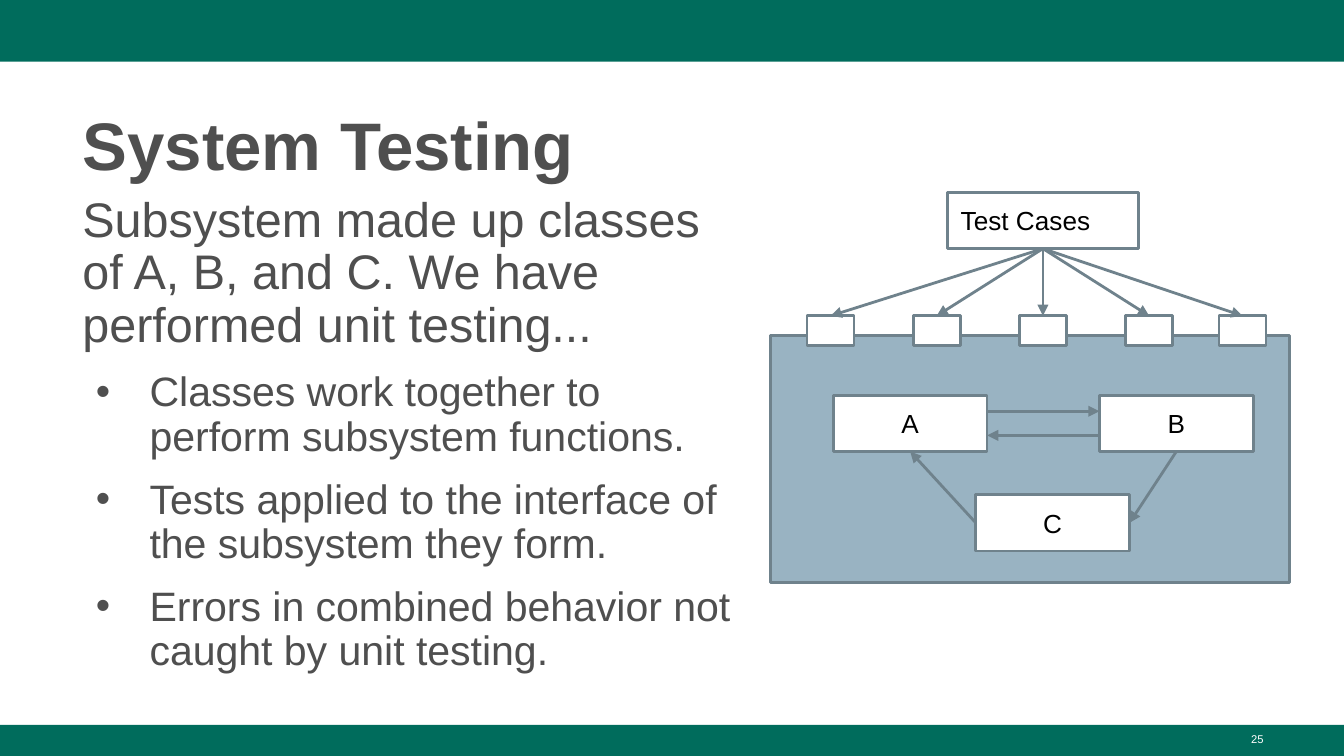
from dataclasses import dataclass

from lxml import etree
from pptx import Presentation
from pptx.dml.color import RGBColor
from pptx.enum.shapes import MSO_CONNECTOR, MSO_SHAPE
from pptx.enum.text import MSO_ANCHOR, MSO_AUTO_SIZE, PP_ALIGN
from pptx.oxml.ns import qn
from pptx.util import Emu, Pt

RECTANGLE = MSO_SHAPE.RECTANGLE
STRAIGHT = MSO_CONNECTOR.STRAIGHT
LEFT, CENTER, RIGHT = PP_ALIGN.LEFT, PP_ALIGN.CENTER, PP_ALIGN.RIGHT
TOP, MIDDLE = MSO_ANCHOR.TOP, MSO_ANCHOR.MIDDLE
NO_AUTOFIT = MSO_AUTO_SIZE.NONE

EMU_PER_PX = 4572  # 200 px to the inch
SLIDE_WIDTH, SLIDE_HEIGHT = 2000, 1125
FONT = "Arial"
COLORS = {
    "green": "006C5C",
    "text": "4F4F4F",
    "black": "000000",
    "white": "FFFFFF",
    "subsystem": "99B3C2",
    "outline": "6F828C",
}
TOP_SIDE, LEFT_SIDE, BOTTOM_SIDE, RIGHT_SIDE = range(4)


@dataclass(frozen=True)
class Box:
    left: int
    top: int
    width: int
    height: int
    fill: str = "white"
    outline: str | None = "outline"
    label: str = ""
    align: PP_ALIGN = CENTER


@dataclass(frozen=True)
class Link:
    source: str
    source_side: int
    target: str
    target_side: int


def px(length: int) -> Emu:
    return Emu(length * EMU_PER_PX)


def color(name: str) -> RGBColor:
    return RGBColor.from_string(COLORS[name])


def format_paragraph(para, size: int, color_name: str, align=LEFT, bold=False) -> None:
    para.alignment = align
    for span in para.runs:
        span.font.name = FONT
        span.font.size = Pt(size)
        span.font.bold = bold
        span.font.color.rgb = color(color_name)


def format_frame(frame, anchor=TOP, vertical_inset: int = 10) -> None:
    frame.word_wrap = True
    frame.auto_size = NO_AUTOFIT
    frame.vertical_anchor = anchor
    frame.margin_left = frame.margin_right = px(20)
    frame.margin_top = frame.margin_bottom = px(vertical_inset)


def add_bullet(para) -> None:
    properties = para._p.get_or_add_pPr()
    properties.set("marL", str(px(100)))
    properties.set("indent", str(px(-80)))
    bullet_color = etree.SubElement(properties, qn("a:buClr"))
    etree.SubElement(bullet_color, qn("a:srgbClr"), val=COLORS["text"])
    etree.SubElement(properties, qn("a:buFont"), typeface=FONT)
    etree.SubElement(properties, qn("a:buChar"), char="•")


def draw_box(page, box: Box):
    shape = page.shapes.add_shape(
        RECTANGLE, px(box.left), px(box.top), px(box.width), px(box.height))
    shape.shadow.inherit = False
    shape.fill.solid()
    shape.fill.fore_color.rgb = color(box.fill)
    if box.outline:
        shape.line.color.rgb = color(box.outline)
        shape.line.width = Pt(1.5)
    else:
        shape.line.fill.background()
    if box.label:
        format_frame(shape.text_frame, MIDDLE, vertical_inset=20)
        shape.text_frame.text = box.label
        format_paragraph(shape.text_frame.paragraphs[0], 14, "black", box.align)
    return shape


def draw_arrow(page, start: tuple[int, int] = (0, 0), end: tuple[int, int] = (0, 0)):
    arrow = page.shapes.add_connector(
        STRAIGHT, px(start[0]), px(start[1]), px(end[0]), px(end[1]))
    arrow.line.color.rgb = color("outline")
    arrow.line.width = Pt(1.5)
    etree.SubElement(arrow.line._get_or_add_ln(), qn("a:tailEnd"), type="triangle")
    etree.SubElement(arrow._element.spPr, qn("a:effectLst"))
    return arrow


def draw_link(page, shapes: dict, link: Link) -> None:
    arrow = draw_arrow(page)
    arrow.begin_connect(shapes[link.source], link.source_side)
    arrow.end_connect(shapes[link.target], link.target_side)


def add_text_box(page, left: int, top: int, width: int, height: int):
    box = page.shapes.add_textbox(px(left), px(top), px(width), px(height))
    format_frame(box.text_frame)
    return box.text_frame


BARS = [
    Box(0, 0, SLIDE_WIDTH, 92, "green", None),
    Box(0, 1079, SLIDE_WIDTH, 46, "green", None),
]
INTRO = "Subsystem made up classes of A, B, and C. We have performed unit testing..."
BULLETS = [
    "Classes work together to perform subsystem functions.",
    "Tests applied to the interface of the subsystem they form.",
    "Errors in combined behavior not caught by unit testing.",
]
PORT_LEFTS = [1201, 1359, 1517, 1675, 1814]
PORTS = {f"port {left}": Box(left, 470, 70, 44) for left in PORT_LEFTS}
BOXES = {
    "subsystem": Box(1147, 499, 772, 368, "subsystem"),
    "A": Box(1240, 588, 229, 84, label="A"),
    "B": Box(1636, 588, 229, 84, label="B"),
    "C": Box(1452, 736, 229, 84, label="C"),
    "tests": Box(1410, 286, 284, 84, label="Test Cases", align=LEFT),
    **PORTS,
}
LINKS = [
    Link("B", BOTTOM_SIDE, "C", RIGHT_SIDE),
    Link("C", LEFT_SIDE, "A", BOTTOM_SIDE),
    *(Link("tests", BOTTOM_SIDE, port, TOP_SIDE) for port in PORTS),
]


def main() -> None:
    deck = Presentation()
    deck.slide_width, deck.slide_height = px(SLIDE_WIDTH), px(SLIDE_HEIGHT)
    page = deck.slides.add_slide(deck.slide_layouts[5])

    # Green bars
    for bar in BARS:
        draw_box(page, bar)

    # Title
    title = page.shapes.title
    title.left, title.top, title.width, title.height = px(103), px(134), px(1798), px(146)
    format_frame(title.text_frame)
    title.text_frame.text = "System Testing"
    heading = title.text_frame.paragraphs[0]
    heading.line_spacing = 1.08
    format_paragraph(heading, 36, "text", bold=True)

    # Introduction and bullets
    body = add_text_box(page, 103, 281, 1034, 762)
    body.text = "\n".join([INTRO, *BULLETS])
    for index, para in enumerate(body.paragraphs):
        para.line_spacing = 0.9
        para.space_before = Pt(10)
        format_paragraph(para, 22 if index else 26, "text")
        if index:
            add_bullet(para)

    # Subsystem diagram
    shapes = {name: draw_box(page, box) for name, box in BOXES.items()}
    for link in LINKS:
        draw_link(page, shapes, link)

    # Calls between A and B, off the middle of their sides
    a_right = BOXES["A"].left + BOXES["A"].width
    b_left = BOXES["B"].left
    draw_arrow(page, (a_right, 612), (b_left, 612))
    draw_arrow(page, (b_left, 648), (a_right, 648))

    # Page number
    number = add_text_box(page, 1434, 1080, 466, 45)
    number.text = "25"
    format_paragraph(number.paragraphs[0], 6, "white", RIGHT)

    deck.save("out.pptx")


if __name__ == "__main__":
    main()
